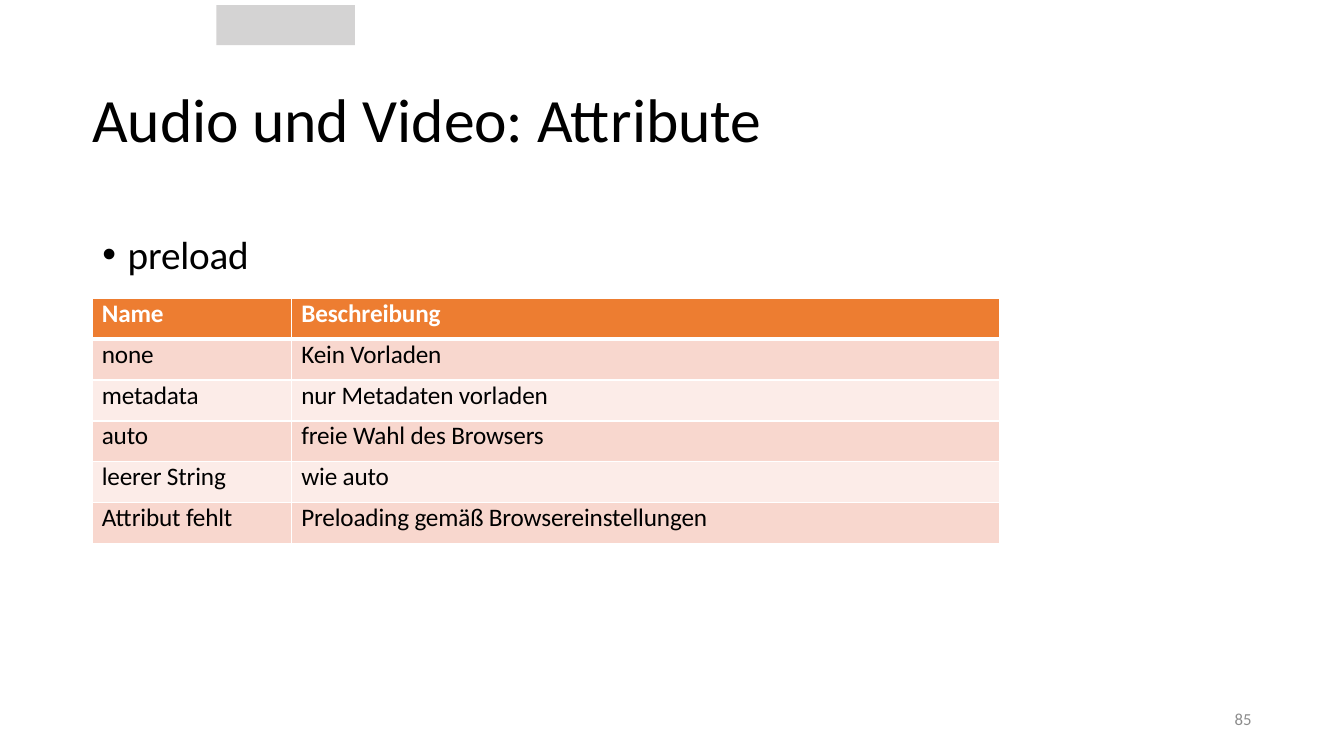
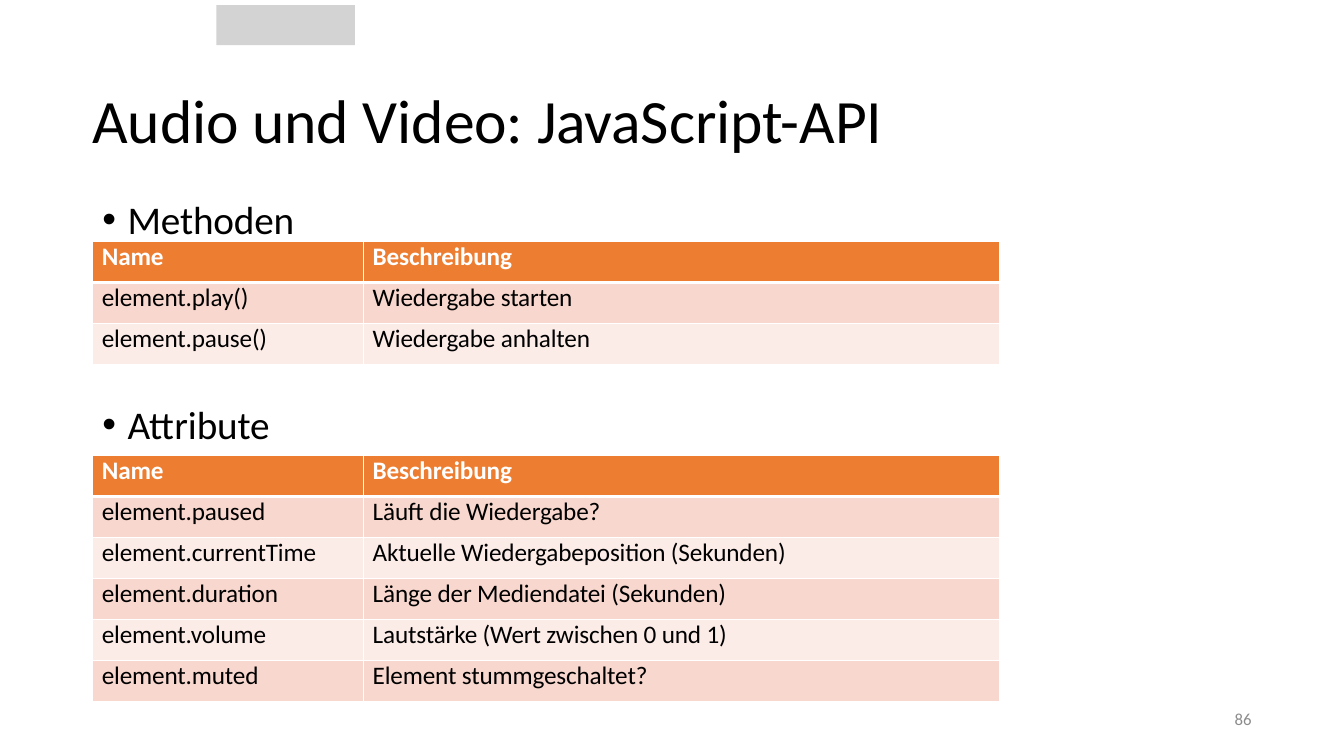
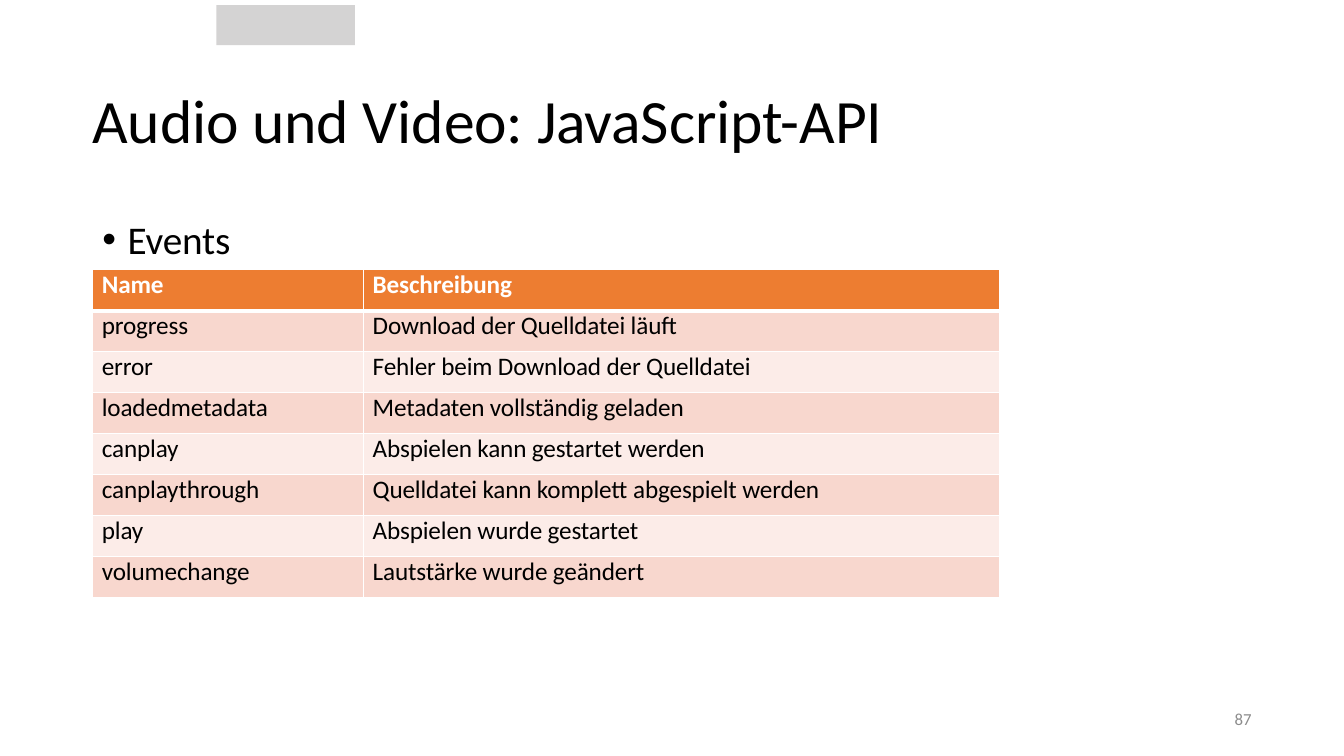
from lxml import etree
from pptx import Presentation
from pptx import util as u
from pptx.dml.color import RGBColor
from pptx.enum import shapes, text
from pptx.oxml.ns import qn

PX = 9525
LEFT, WIDE = 88, 1104
TABLE, ROW = 864, 39
FONT = "Calibri"
COLORS = {"ink": "000000", "white": "FFFFFF", "gray": "8C8C8C", "band": "D4D3D3",
          "head": "ED7D31", "odd": "F8D7CE", "even": "FCECE8"}
HEAD = ("Name", "Beschreibung")

PAGES = [
    {"title": "Audio und Video: Attribute", "top": (77, 71), "body": (192, 457),
     "list": ["preload"],
     "tables": [(284, 190, [
         ("none", "Kein Vorladen"),
         ("metadata", "nur Metadaten vorladen"),
         ("auto", "freie Wahl des Browsers"),
         ("leerer String", "wie auto"),
         ("Attribut fehlt", "Preloading gemäß Browsereinstellungen")])]},
    {"title": "Audio und Video: JavaScript-API", "top": (48, 130), "body": (159, 530),
     "list": ["Methoden", "Attribute"],
     "tables": [
         (230, 258, [
             ("element.play()", "Wiedergabe starten"),
             ("element.pause()", "Wiedergabe anhalten")]),
         (434, 258, [
             ("element.paused", "Läuft die Wiedergabe?"),
             ("element.currentTime", "Aktuelle Wiedergabeposition (Sekunden)"),
             ("element.duration", "Länge der Mediendatei (Sekunden)"),
             ("element.volume", "Lautstärke (Wert zwischen 0 und 1)"),
             ("element.muted", "Element stummgeschaltet?")])]},
    {"title": "Audio und Video: JavaScript-API", "top": (48, 130), "body": (178, 471),
     "list": ["Events"],
     "tables": [(257, 258, [
         ("progress", "Download der Quelldatei läuft"),
         ("error", "Fehler beim Download der Quelldatei"),
         ("loadedmetadata", "Metadaten vollständig geladen"),
         ("canplay", "Abspielen kann gestartet werden"),
         ("canplaythrough", "Quelldatei kann komplett abgespielt werden"),
         ("play", "Abspielen wurde gestartet"),
         ("volumechange", "Lautstärke wurde geändert")])]},
]


def write(para, words, size, color="ink", bold=False, align="LEFT",
          before=0, line=1.0, track=-10):
    """Fill a paragraph; track is letter spacing in 1/100 pt."""
    run = para.add_run()
    run.text = words
    run.font.name, run.font.size, run.font.bold = FONT, u.Pt(size), bold
    run.font.color.rgb = RGBColor.from_string(COLORS[color])
    run._r.get_or_add_rPr().set("spc", str(track))
    para.alignment = text.PP_ALIGN[align]
    para.space_before, para.space_after = u.Pt(before), u.Pt(0)
    para.line_spacing = line


def place(shape, *box):
    """Set left, top, width and height in px."""
    shape.left, shape.top, shape.width, shape.height = (n * PX for n in box)


prs = Presentation()
prs.slide_width, prs.slide_height = 1280 * PX, 720 * PX
slides = [prs.slides.add_slide(prs.slide_layouts[1]) for page in PAGES]

# The band is built on a slide, then moved to the master that all slides share.
band = slides[0].shapes.add_shape(shapes.MSO_SHAPE.RECTANGLE, 0, 0, 0, 0)
place(band, 206, 5, 132, 38)
band.shadow.inherit = False
band.fill.solid()
band.fill.fore_color.rgb = RGBColor.from_string(COLORS["band"])
band.line.fill.background()
prs.slide_master.shapes.element.append(band.element)

for number, (slide, page) in enumerate(zip(slides, PAGES), 85):
    title, body = slide.placeholders
    place(title, LEFT, page["top"][0], WIDE, page["top"][1])
    place(body, LEFT, page["body"][0], WIDE, page["body"][1])
    foot = slide.shapes.add_textbox(0, 0, 0, 0)
    place(foot, 904, 667, 288, 38)

    for box in (title, foot):
        frame = box.text_frame
        frame.margin_left = frame.margin_right = 0
        frame.margin_top = frame.margin_bottom = 0
        frame.vertical_anchor = text.MSO_ANCHOR.MIDDLE
        frame.word_wrap = True
    write(title.text_frame.paragraphs[0], page["title"], 44)
    write(foot.text_frame.paragraphs[0], str(number), 12, color="gray",
          align="RIGHT", line=u.Pt(12.4), track=0)

    frame = body.text_frame
    frame.auto_size = text.MSO_AUTO_SIZE.NONE
    for i, item in enumerate(page["list"]):
        para = frame.add_paragraph() if i else frame.paragraphs[0]
        write(para, item, 28, before=113 if i else 10, line=1.0 if i else 1.5)
        props = para._p.get_or_add_pPr()
        props.set("marL", str(24 * PX))
        props.set("indent", str(-24 * PX))

    for top, first, rows in page["tables"]:
        rows = [HEAD] + rows
        grid = slide.shapes.add_table(len(rows), 2, LEFT * PX, top * PX,
                                      TABLE * PX, len(rows) * ROW * PX).table
        grid.columns[0].width = first * PX
        grid.columns[1].width = (TABLE - first) * PX
        for r, row in enumerate(rows):
            grid.rows[r].height = ROW * PX
            shade = "head" if r == 0 else "odd" if r % 2 else "even"
            for c, words in enumerate(row):
                cell = grid.cell(r, c)
                cell.margin_left = 9 * PX
                cell.margin_right = cell.margin_top = cell.margin_bottom = 0
                write(cell.text_frame.paragraphs[0], words, 18, bold=r == 0,
                      color="ink" if r else "white", before=1 if r == 1 else 2)
                props = cell._tc.get_or_add_tcPr()
                for side in "LRTB":
                    thick = (r, side) in ((0, "B"), (1, "T"))
                    edge = etree.SubElement(props, qn("a:ln" + side),
                                            w=str(u.Pt(3 if thick else 1)))
                    fill = etree.SubElement(edge, qn("a:solidFill"))
                    etree.SubElement(fill, qn("a:srgbClr"), val=COLORS["white"])
                cell.fill.solid()
                cell.fill.fore_color.rgb = RGBColor.from_string(COLORS[shade])

prs.save("out.pptx")
